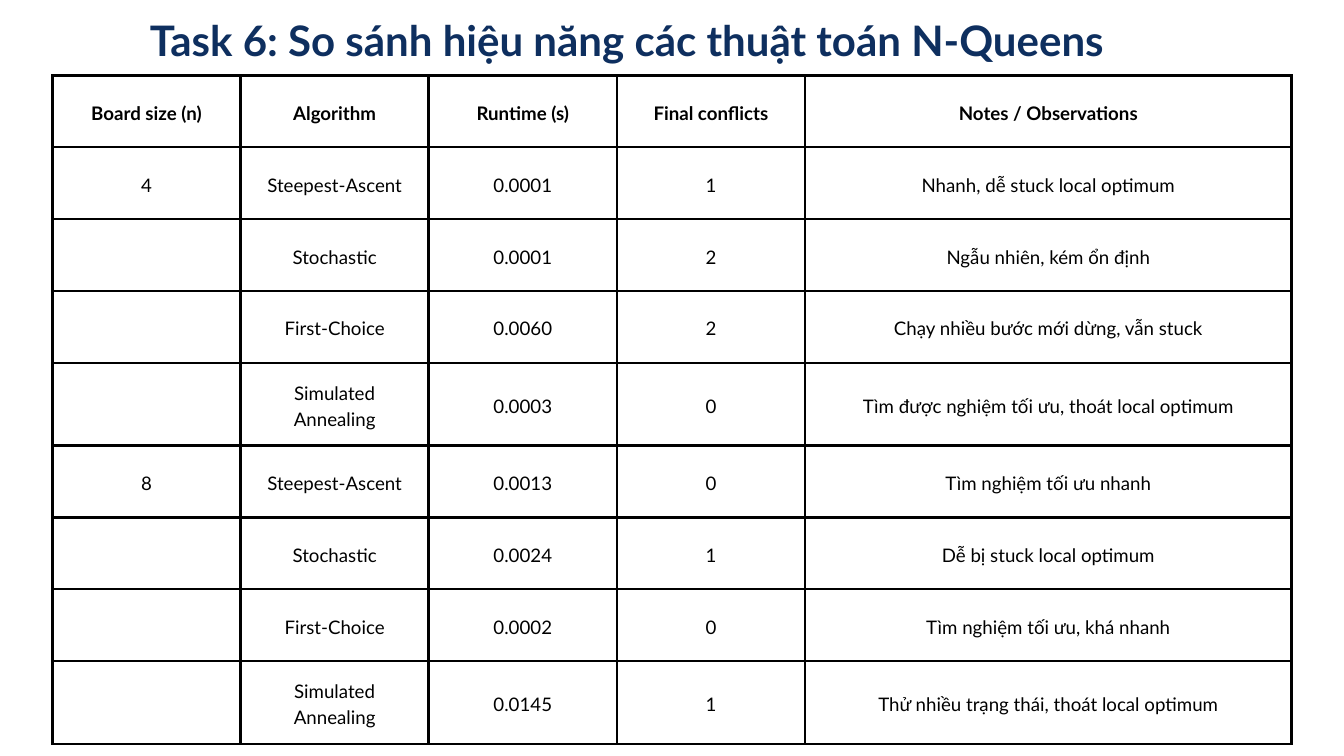
from lxml import etree
from pptx import Presentation
from pptx.dml.color import RGBColor
from pptx.enum.text import MSO_ANCHOR, PP_ALIGN
from pptx.oxml.ns import qn
from pptx.util import Pt

SCALE = 9144
CENTER, LEFT = PP_ALIGN.CENTER, PP_ALIGN.LEFT
MIDDLE = MSO_ANCHOR.MIDDLE

HEADER = ["Board size (n)", "Algorithm", "Runtime (s)", "Final conflicts", "Notes / Observations"]
ALGORITHMS = ["Steepest-Ascent", "Stochastic", "First-Choice", "Simulated Annealing"]
RESULTS = {
    "4": [
        ("0.0001", "1", "Nhanh, dễ stuck local optimum"),
        ("0.0001", "2", "Ngẫu nhiên, kém ổn định"),
        ("0.0060", "2", "Chạy nhiều bước mới dừng, vẫn stuck"),
        ("0.0003", "0", "Tìm được nghiệm tối ưu, thoát local optimum"),
    ],
    "8": [
        ("0.0013", "0", "Tìm nghiệm tối ưu nhanh"),
        ("0.0024", "1", "Dễ bị stuck local optimum"),
        ("0.0002", "0", "Tìm nghiệm tối ưu, khá nhanh"),
        ("0.0145", "1", "Thử nhiều trạng thái, thoát local optimum"),
    ],
}
COL_WIDTHS = [280] * 4 + [724]
ROW_HEIGHTS = [107] + ([107] * 3 + [123]) * 2


def px(n):
    return n * SCALE


def color(value):
    return RGBColor.from_string(value)


class Deck:
    """Draws styled elements on the current slide."""

    font, ink, navy = "Lato", "000000", "0E2F5F"

    def __init__(self, prs):
        self.s = prs.slides.add_slide(prs.slide_layouts[6])

    def style(self, p, size, line, value, bold, align):
        p.alignment = align
        p.line_spacing = Pt(line)
        p.font.name, p.font.size, p.font.bold = self.font, Pt(size), bold
        p.font.color.rgb = color(value)
        for r in p.runs:
            r.font.name, r.font.size, r.font.bold = self.font, Pt(size), bold
            r.font.color.rgb = color(value)

    def title(self, text, x, y, w, h):
        tf = self.s.shapes.add_textbox(px(x), px(y), px(w), px(h)).text_frame
        tf.margin_left = tf.margin_right = tf.margin_top = tf.margin_bottom = 0
        tf.word_wrap = True
        tf.text = text
        self.style(tf.paragraphs[0], 45, 57.1, self.navy, True, LEFT)

    def borders(self, cell, width):
        tcPr = cell._tc.get_or_add_tcPr()
        for i, side in enumerate(("a:lnL", "a:lnR", "a:lnT", "a:lnB")):
            ln = etree.Element(qn(side), w=str(Pt(width)))
            fill = etree.SubElement(ln, qn("a:solidFill"))
            etree.SubElement(fill, qn("a:srgbClr"), val=self.ink)
            tcPr.insert(i, ln)

    def cell(self, cell, text, bold):
        cell.margin_left = cell.margin_right = cell.margin_top = cell.margin_bottom = px(21)
        cell.vertical_anchor = MIDDLE
        cell.fill.background()
        self.borders(cell, 3)
        cell.text_frame.text = text
        self.style(cell.text_frame.paragraphs[0], 20, 28, self.ink, bold, CENTER)

    def table(self, rows, x, y, widths, heights):
        frame = self.s.shapes.add_table(
            len(rows), len(widths), px(x), px(y), px(sum(widths)), px(sum(heights)))
        table = frame.table
        table.first_row = table.horz_banding = False
        for column, w in zip(table.columns, widths):
            column.width = px(w)
        for i, (row, h) in enumerate(zip(rows, heights)):
            table.rows[i].height = px(h)
            for j, text in enumerate(row):
                self.cell(table.cell(i, j), text, i == 0)


def main():
    prs = Presentation()
    prs.slide_width, prs.slide_height = px(2000), px(1125)
    deck = Deck(prs)
    rows = [HEADER]
    for board, results in RESULTS.items():
        for i, (algorithm, result) in enumerate(zip(ALGORITHMS, results)):
            rows.append([board if i == 0 else "", algorithm, *result])
    deck.table(rows, 78, 112, COL_WIDTHS, ROW_HEIGHTS)
    deck.title("Task 6: So sánh hiệu năng các thuật toán N-Queens", 223, 17, 1554, 79)
    prs.save("out.pptx")


if __name__ == "__main__":
    main()
